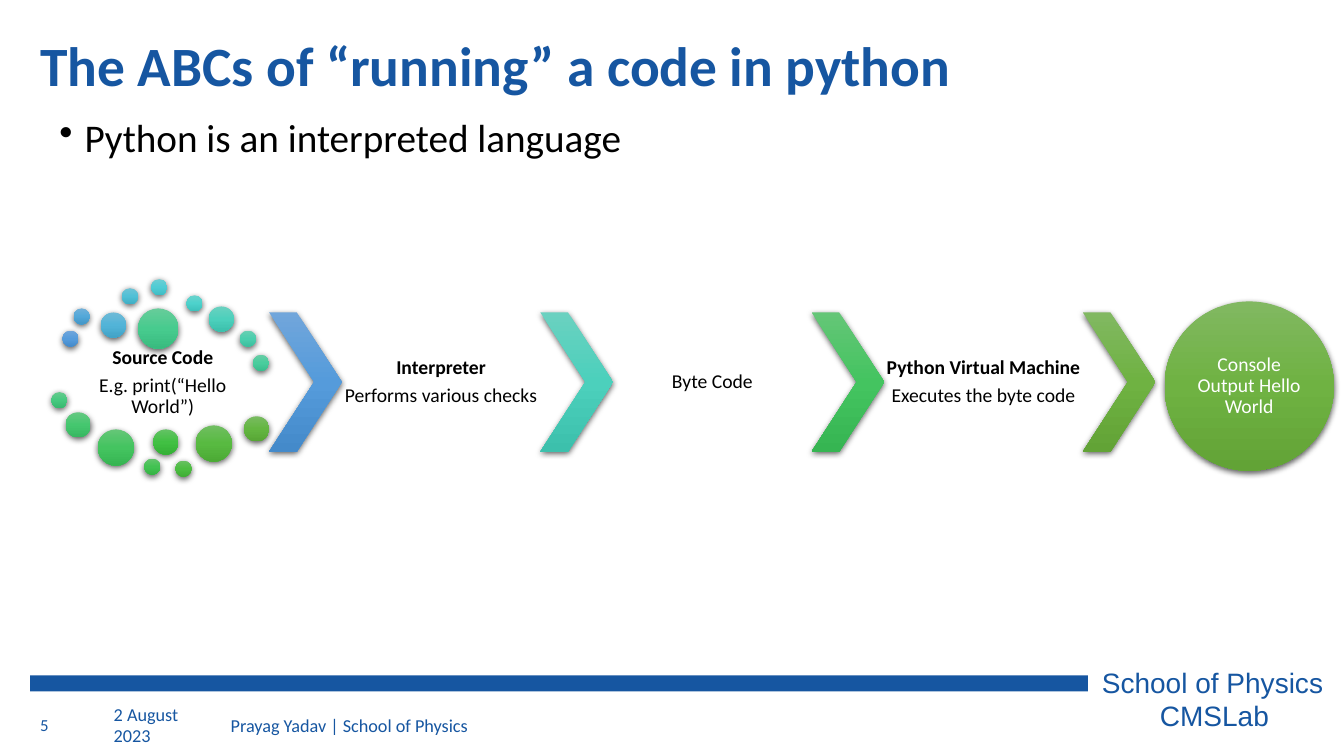
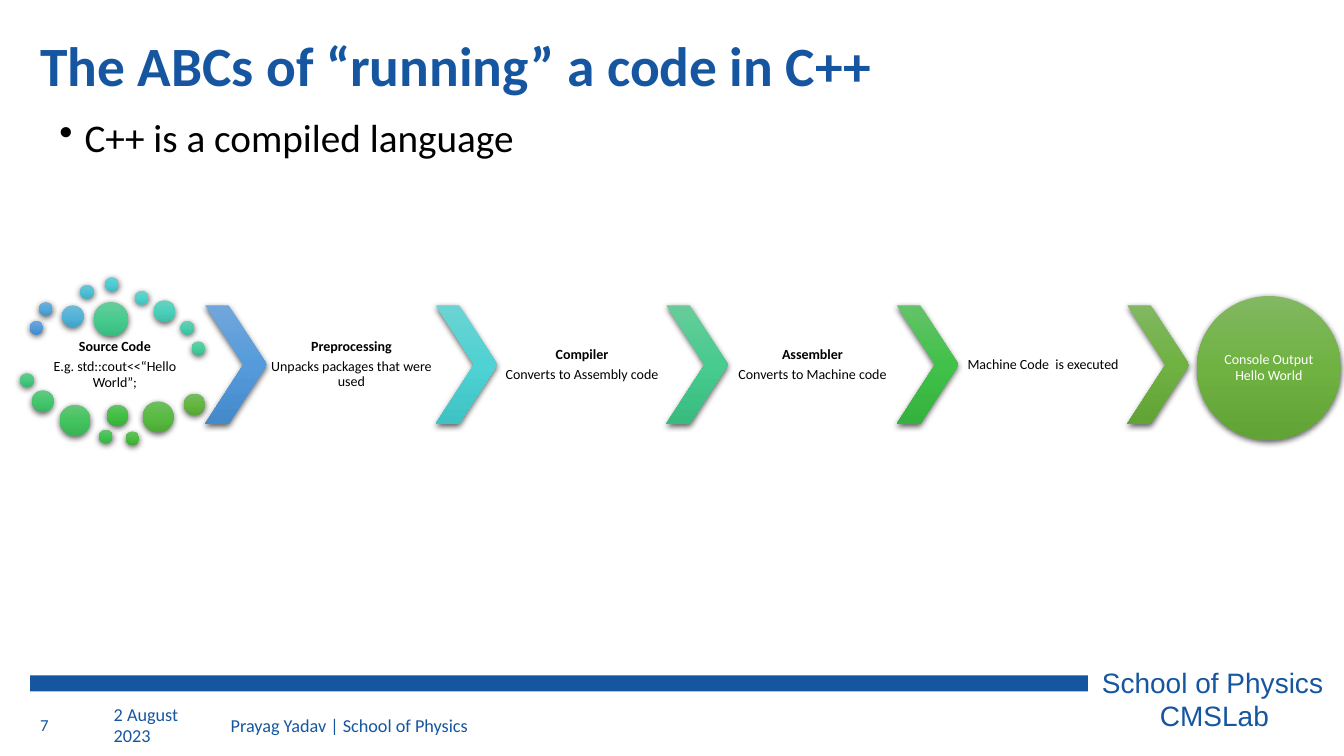
"""Build two slides that show how Python and C++ code is run."""
import pptx
import pptx.dml.color
import pptx.enum.shapes
import pptx.enum.text
import pptx.oxml
import pptx.oxml.ns
import pptx.util

Inches = pptx.util.Inches
Pt = pptx.util.Pt
RGBColor = pptx.dml.color.RGBColor
Shape = pptx.enum.shapes.MSO_SHAPE
Align = pptx.enum.text.PP_ALIGN
Anchor = pptx.enum.text.MSO_ANCHOR

BLUE = RGBColor(0x16, 0x56, 0xA1)
BLACK = RGBColor(0, 0, 0)
WHITE = RGBColor(0xFF, 0xFF, 0xFF)


def shades(*codes):
    return tuple(RGBColor.from_string(code) for code in codes)


SKY = shades("71A6DB", "559BDB", "448ACA")
AQUA = shades("6CD3D3", "4ED2D3", "3EC2C3")
TEAL = shades("6AD1C0", "4CD0BC", "3CC0AC")
MINT = shades("67CC9A", "47CB8E", "39BB7F")
EMERALD = shades("64C677", "44C460", "36B552")
GREEN = shades("63C368", "42C14A", "34B23D")
OLIVE = shades("81B861", "6FB242", "62A336")

SMALL, MEDIUM, LARGE, LARGEST = 0.16, 0.25, 0.36, 0.4
RING_DOTS = [
    (0.11, 0.51, SMALL, SKY),
    (0.22, 0.29, SMALL, shades("70B0D9", "53A8D9", "4397C8")),
    (0.49, 0.33, MEDIUM, shades("6FBAD7", "52B4D8", "42A3C7")),
    (0.7, 0.09, SMALL, shades("6EC4D6", "50C0D6", "40AFC5")),
    (0.99, 0, SMALL, shades("6CCED4", "4FCCD4", "3FBCC3")),
    (1.34, 0.16, SMALL, shades("6BD3CD", "4DD2CC", "3EC2BC")),
    (1.56, 0.27, MEDIUM, TEAL),
    (1.87, 0.51, SMALL, shades("69CFB3", "4ACEAD", "3BBE9D")),
    (2, 0.75, SMALL, shades("68CDA6", "49CD9D", "3ABD8E")),
    (0.86, 0.29, LARGEST, MINT),
    (0, 1.12, SMALL, shades("66CA8E", "46C97F", "38B970")),
    (0.14, 1.32, MEDIUM, shades("65C882", "45C76F", "37B761")),
    (0.46, 1.49, LARGE, EMERALD),
    (0.92, 1.78, SMALL, shades("64C46D", "42C252", "35B344")),
    (1.01, 1.49, MEDIUM, shades("63C264", "41C043", "34B136")),
    (1.23, 1.8, SMALL, shades("69C062", "4CBD41", "3FAD34")),
    (1.43, 1.45, LARGE, shades("70BE61", "58BA41", "4CAA35")),
    (1.91, 1.36, MEDIUM, shades("79BB61", "64B641", "57A635")),
]
CHEVRON_WIDTH, STAGE_WIDTH, STAGE_HEIGHT = 0.72, 1.97, 1.38
STAGE_LEFT, STAGE_TOP = 2.16, 0.33
RESULT_SIZE = 1.68


def write_text(frame, lines, size=13, color=BLUE, font="Calibri", bold=False,
               heading=False, align=Align.LEFT, anchor=Anchor.MIDDLE,
               spacing=1.0, after=0, inset=None, bullet=False):
    frame.word_wrap = True
    frame.vertical_anchor = anchor
    if inset is not None:
        frame.margin_left = frame.margin_right = Inches(inset)
        frame.margin_top = frame.margin_bottom = Inches(inset)
    for index, line in enumerate(lines):
        paragraph = frame.add_paragraph() if index else frame.paragraphs[0]
        if bullet:
            properties = paragraph._p.get_or_add_pPr()
            properties.set("marL", str(Inches(0.25)))
            properties.set("indent", str(Inches(-0.25)))
            mark = pptx.oxml.parse_xml(
                f'<a:buChar {pptx.oxml.ns.nsdecls("a")} char="•"/>')
            properties.append(mark)
        paragraph.alignment = align
        paragraph.line_spacing = spacing
        paragraph.space_after = Pt(after)
        run = paragraph.add_run()
        run.text = line
        run.font.size = Pt(size)
        run.font.name = font
        run.font.bold = bold or (heading and index == 0)
        run.font.color.rgb = color


def add_text(slide, area, lines, **style):
    frame = slide.shapes.add_textbox(*map(Inches, area)).text_frame
    write_text(frame, lines, **style)
    return frame


def add_plain_shape(slide, kind, area):
    shape = slide.shapes.add_shape(kind, *map(Inches, area))
    shape.line.fill.background()
    shape.shadow.inherit = False
    return shape


def add_glossy_shape(slide, kind, area, colors):
    shape = add_plain_shape(slide, kind, area)
    namespace = pptx.oxml.ns.nsdecls("a")
    stops = "".join(
        f'<a:gs pos="{position}"><a:srgbClr val="{color}"/></a:gs>'
        for position, color in zip((0, 50000, 100000), colors))
    gradient = pptx.oxml.parse_xml(
        f'<a:gradFill {namespace} rotWithShape="1"><a:gsLst>{stops}</a:gsLst>'
        '<a:lin ang="5400000" scaled="0"/></a:gradFill>')
    shadow = pptx.oxml.parse_xml(
        f'<a:outerShdw {namespace} blurRad="{Pt(4.5)}" dist="{Pt(1.5)}" '
        'dir="5400000" algn="ctr" rotWithShape="0">'
        f'<a:srgbClr val="{BLACK}"><a:alpha val="63000"/></a:srgbClr>'
        '</a:outerShdw>')
    properties = shape._element.spPr
    properties.find(pptx.oxml.ns.qn("a:prstGeom")).addnext(gradient)
    properties.find(pptx.oxml.ns.qn("a:effectLst")).append(shadow)
    return shape


def add_frame(slide, number, title, statement):
    band = add_plain_shape(slide, Shape.RECTANGLE, (0.3, 6.7, 10.49, 0.16))
    band.fill.solid()
    band.fill.fore_color.rgb = BLUE
    school = add_text(slide, (10.83, 6.55, 2.43, 0.77),
                      ["School of Physics", "CMSLab"], size=20, font="Arial",
                      align=Align.CENTER, anchor=Anchor.TOP)
    school.paragraphs[0].alignment = Align.LEFT
    add_text(slide, (0.3, 6.99, 0.44, 0.4), [str(number)], size=12)
    add_text(slide, (1.03, 6.99, 1.14, 0.4), ["2 August 2023"])
    add_text(slide, (2.19, 6.99, 4.5, 0.4), ["Prayag Yadav | School of Physics"])
    add_text(slide, (0.3, 0.3, 12.09, 0.75), [title], size=39.6, bold=True,
             spacing=0.9)
    add_text(slide, (0.49, 1.13, 11.9, 5.23), [statement], size=28, color=BLACK,
             anchor=Anchor.TOP, spacing=0.9, bullet=True)


def add_process(slide, left, top, scale, size, source, stages, chevron_colors):
    def place(x, y, width, height):
        return (left + x * scale, top + y * scale, width * scale, height * scale)

    label = dict(size=size, align=Align.CENTER, spacing=0.9, after=size * 0.35)
    stage_label = dict(label, color=BLACK, inset=0.02 * scale)

    add_text(slide, place(0.12, 0.7, STAGE_WIDTH, 0.65), source, heading=True,
             **stage_label)
    for x, y, diameter, colors in RING_DOTS:
        add_glossy_shape(slide, Shape.OVAL, place(x, y, diameter, diameter), colors)

    x = STAGE_LEFT
    for index, colors in enumerate(chevron_colors):
        chevron = add_glossy_shape(
            slide, Shape.CHEVRON,
            place(x, STAGE_TOP, CHEVRON_WIDTH, STAGE_HEIGHT), colors)
        chevron.adjustments[0] = 0.62
        x += CHEVRON_WIDTH
        if index < len(stages):
            lines = stages[index]
            add_text(slide, place(x, STAGE_TOP, STAGE_WIDTH, STAGE_HEIGHT), lines,
                     heading=len(lines) > 1, **stage_label)
            x += STAGE_WIDTH

    result = add_glossy_shape(slide, Shape.OVAL,
                              place(x + 0.09, 0.22, RESULT_SIZE, RESULT_SIZE), OLIVE)
    write_text(result.text_frame, ["Console Output Hello World"], color=WHITE,
               inset=0, **label)


def main():
    deck = pptx.Presentation()
    deck.slide_width, deck.slide_height = Inches(13.33), Inches(7.5)
    blank = deck.slide_layouts[6]

    python = deck.slides.add_slide(blank)
    add_frame(python, 5, "The ABCs of “running” a code in python",
              "Python is an interpreted language")
    add_process(python, 0.51, 2.77, 1, 14,
                ["Source Code", "E.g. print(“Hello World”)"],
                [["Interpreter", "Performs various checks"],
                 ["Byte Code"],
                 ["Python Virtual Machine", "Executes the byte code"]],
                [SKY, TEAL, EMERALD, OLIVE])

    cpp = deck.slides.add_slide(blank)
    add_frame(cpp, 7, "The ABCs of “running” a code in C++",
              "C++ is a compiled language")
    add_process(cpp, 0.2, 2.75, 0.85, 10,
                ["Source Code", "E.g. std::cout<<“Hello World”;"],
                [["Preprocessing", "Unpacks packages that were used"],
                 ["Compiler", "Converts to Assembly code"],
                 ["Assembler", "Converts to Machine code"],
                 ["Machine Code  is executed"]],
                [SKY, AQUA, MINT, GREEN, OLIVE])

    deck.save("out.pptx")


if __name__ == "__main__":
    main()
